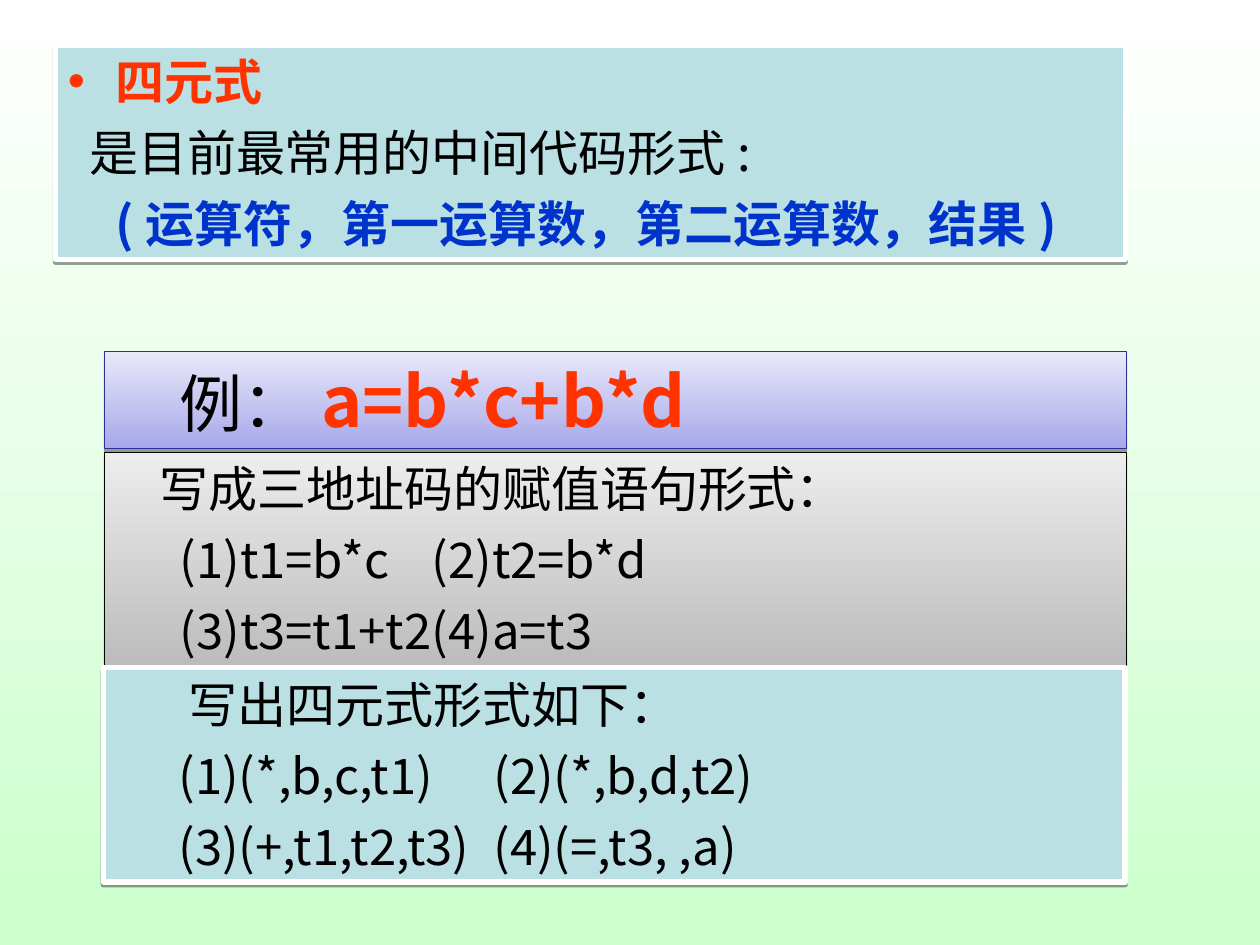
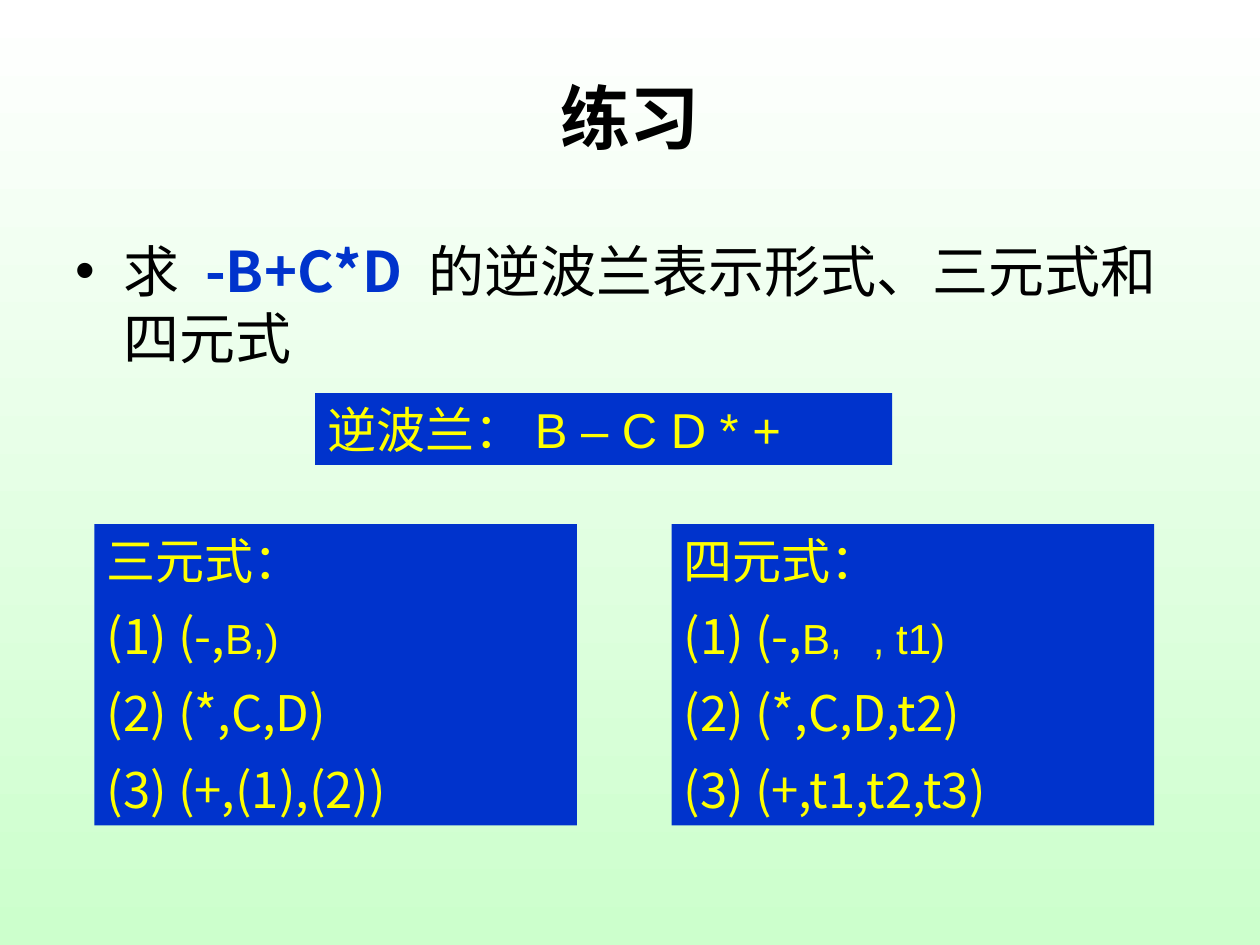
from lxml.etree import SubElement
from pptx import Presentation
from pptx.dml.color import RGBColor
from pptx.enum.shapes import MSO_SHAPE as SHAPE
from pptx.enum.text import MSO_ANCHOR as ANCHOR, PP_ALIGN as ALIGN
from pptx.oxml.ns import qn
from pptx.util import Inches, Pt

WIDTH, HEIGHT = Inches(10), Inches(7.5)
CJK, LATIN = "Noto Sans CJK SC", "Arial"
BLACK, WHITE, RED, BLUE, YELLOW = "000000", "FFFFFF", "FF3300", "0033CC", "FFFF00"
PALE_TEAL, PALE_GREEN, NAVY = "BBE0E3", "CCFFCC", "2F2F98"
HANGING = 0.38


def rgb(value):
    """Turn a hex string into a colour."""
    return RGBColor.from_string(value)


def area(left, top, width, height):
    """Turn percentages of the slide into a position and a size."""
    return [int(share * side / 100) for share, side in
            zip((left, top, width, height), (WIDTH, HEIGHT) * 2)]


def child(parent, tag, **attributes):
    """Append a DrawingML element."""
    return SubElement(parent, qn(f"a:{tag}"),
                      {key: str(value) for key, value in attributes.items()})


def paint(fill, colors):
    """Fill with one colour, or with two from top to bottom."""
    if isinstance(colors, str):
        fill.solid()
        fill.fore_color.rgb = rgb(colors)
        return
    fill.gradient()
    fill.gradient_angle = 270
    for stop, color in zip(fill.gradient_stops, colors):
        stop.color.rgb = rgb(color)


def style(font, size=28, color=BLACK, bold=False, face=CJK):
    """Set a font for Latin and Chinese letters."""
    font.size, font.bold, font.name = Pt(size), bold, face
    font.color.rgb = rgb(color)
    child(font._rPr, "ea", typeface=CJK)


def line(*runs, before=7, indent=0, tabs=(), bullet=None, align=ALIGN.LEFT):
    """Describe a paragraph; each run is a text with its font settings."""
    return dict(runs=runs, before=before, indent=indent, tabs=tabs,
                bullet=bullet, align=align)


def run(text, **font):
    """Describe a run."""
    return text, font


def add_paragraph(paragraph, runs, before, indent, tabs, bullet, align):
    """Write one described paragraph."""
    paragraph.alignment, paragraph.space_before = align, Pt(before)
    layout = paragraph._p.get_or_add_pPr()
    layout.set("marL", str(Inches(indent)))
    layout.set("indent", str(-Inches(indent) if bullet else 0))
    if bullet:
        child(child(layout, "buClr"), "srgbClr", val=bullet)
        child(layout, "buFont", typeface=LATIN)
        child(layout, "buChar", char="•")
    if tabs:
        stops = child(layout, "tabLst")
        for stop in tabs:
            child(stops, "tab", pos=Inches(stop), algn="l")
    for text, font in runs:
        piece = paragraph.add_run()
        piece.text = text
        style(paragraph.font if len(runs) == 1 else piece.font, **font)


def write(frame, lines, anchor=ANCHOR.TOP):
    """Fill a text frame with described paragraphs."""
    frame.word_wrap, frame.vertical_anchor = True, anchor
    for number, content in enumerate(lines):
        add_paragraph(frame.add_paragraph() if number else frame.paragraphs[0], **content)


def add_text(slide, place, *lines, anchor=ANCHOR.TOP):
    """Add text without a panel."""
    write(slide.shapes.add_textbox(*area(*place)).text_frame, lines, anchor)


def add_panel(slide, place, colors, *lines, border=None, weight=0.75):
    """Add a filled panel; a bordered one casts a thin shadow below."""
    panel = slide.shapes.add_shape(SHAPE.RECTANGLE, *area(*place))
    panel.shadow.inherit = False
    paint(panel.fill, colors)
    if border:
        panel.line.color.rgb, panel.line.width = rgb(border), Pt(weight)
        effects = panel._element.spPr.find(qn("a:effectLst"))
        shade = child(effects, "outerShdw", dist=Pt(1.6), dir=5400000, rotWithShape=0)
        child(child(shade, "srgbClr", val=BLACK), "alpha", val=38000)
    else:
        panel.line.fill.background()
    write(panel.text_frame, lines)


def add_answer(slide, left, heading, operand, *rows, tabs=()):
    """Add a blue answer panel with a heading and numbered rows."""
    def plain(text):
        return line(run(text, color=YELLOW), before=10.5)
    first = line(run("(1) (-,", color=YELLOW),
                 run(operand, size=24, color=YELLOW, face=LATIN), before=9, tabs=tabs)
    add_panel(slide, (left, 55.47, 38.3, 31.87), BLUE,
              plain(heading), first, *map(plain, rows))


def build_quadruples(slide):
    """Explain quadruples and show an example."""
    add_panel(slide, (8.3, 47.87, 81.1, 22.67), ("EDEDED", "BCBCBC"),
              line(run("写成三地址码的赋值语句形式："), indent=0.34),
              line(run("\t(1)t1=b*c\t(2)t2=b*d"), tabs=(1.05, 3.71)),
              line(run("\t(3)t3=t1+t2\t(4)a=t3"), tabs=(1.14, 3.56)),
              border=BLACK)
    add_panel(slide, (8.3, 37.2, 81.1, 10.27), ("E8E8FA", "A8A8EA"),
              line(run("例：", size=36), run("a=b*c+b*d", size=40, color=RED, bold=True),
                   before=10, indent=0.5),
              border=NAVY)
    add_panel(slide, (8.2, 70.67, 81.1, 22.67), PALE_TEAL,
              line(run("写出四元式形式如下："), indent=0.58),
              line(run("\t(1)(*,b,c,t1)\t(2)(*,b,d,t2)"), tabs=(1.06, 4)),
              line(run("\t(3)(+,t1,t2,t3)\t(4)(=,t3, ,a)"), tabs=(1.06, 4.11)),
              border=WHITE, weight=3)
    add_panel(slide, (4.4, 4.8, 84.9, 22.67), PALE_TEAL,
              line(run("四元式", color=RED, bold=True), indent=HANGING, bullet=RED),
              line(run("是目前最常用的中间代码形式:"), indent=0.17),
              line(run("(运算符，第一运算数，第二运算数，结果)", color=BLUE, bold=True),
                   indent=HANGING),
              border=WHITE, weight=3)


def build_exercise(slide):
    """Set the exercise and give its answers."""
    add_text(slide, (5, 4, 90, 16.67),
             line(run("练习", size=40, bold=True, face=LATIN), before=0, align=ALIGN.CENTER),
             anchor=ANCHOR.MIDDLE)
    add_text(slide, (5, 24.4, 90, 18.93),
             line(run("求 ", size=32), run("-B+C*D ", size=32, color=BLUE, bold=True),
                  run("的逆波兰表示形式、三元式和四元式", size=32),
                  before=8, indent=HANGING, bullet=BLACK))
    add_panel(slide, (25, 41.6, 45.8, 7.6), BLUE,
              line(run("逆波兰：", color=YELLOW),
                   run("B – C D * +", color=YELLOW, face=LATIN), before=10.5))
    add_answer(slide, 7.5, "三元式：", "B,)", "(2) (*,C,D)", "(3) (+,(1),(2))")
    add_answer(slide, 53.3, "四元式：", "B,\t, t1)", "(2) (*,C,D,t2)",
               "(3) (+,t1,t2,t3)", tabs=(1.42,))


def main():
    """Build and save the deck."""
    deck = Presentation()
    deck.slide_width, deck.slide_height = WIDTH, HEIGHT
    paint(deck.slide_master.background.fill, (WHITE, PALE_GREEN))
    for build in (build_quadruples, build_exercise):
        build(deck.slides.add_slide(deck.slide_layouts[6]))
    deck.save("out.pptx")


if __name__ == "__main__":
    main()
